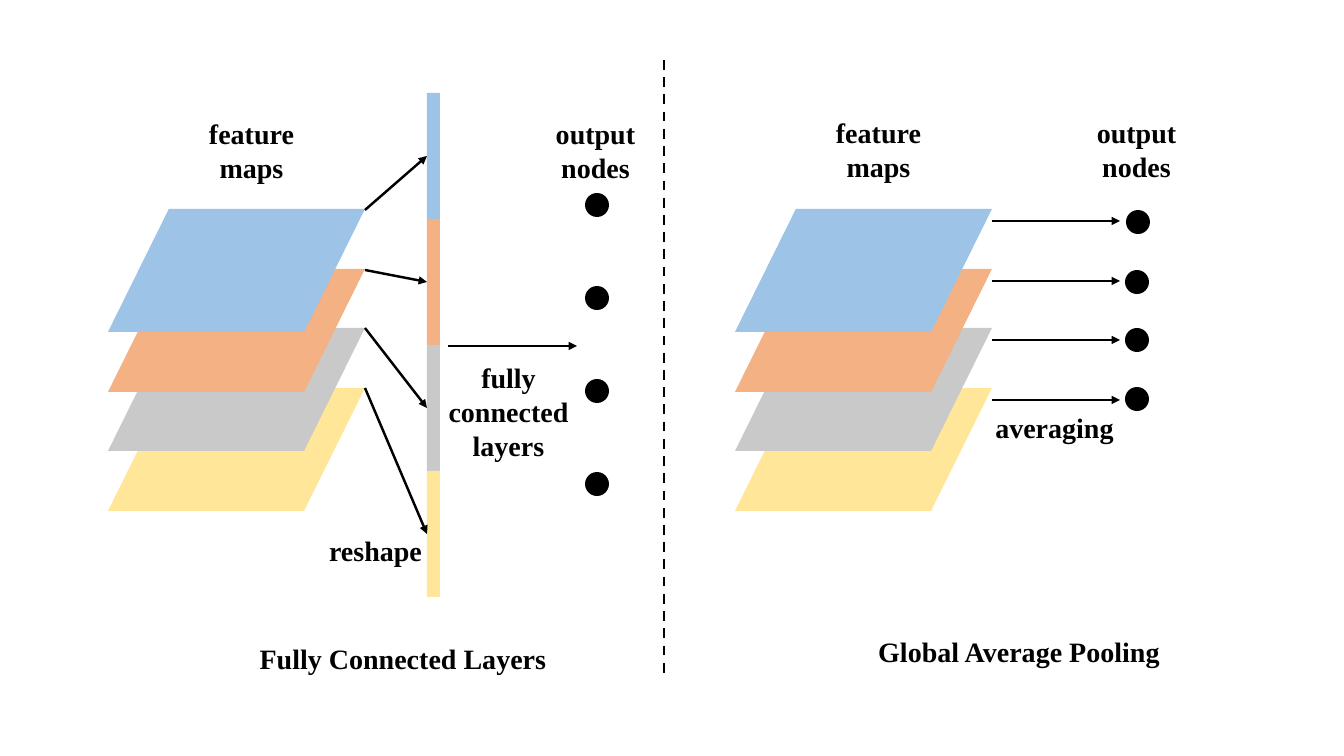
import pptx
import pptx.util
from lxml import etree
from pptx.dml.color import RGBColor
from pptx.enum.dml import MSO_LINE
from pptx.enum.shapes import MSO_CONNECTOR, MSO_SHAPE
from pptx.enum.text import MSO_AUTO_SIZE, PP_ALIGN
from pptx.oxml.ns import qn

# Content; all lengths in px, 100.8 px to the inch
SLIDE_SIZE = (1344, 756)
COLORS = {"blue": "9DC3E6", "orange": "F4B183", "gray": "C9C9C9",
          "yellow": "FFE699", "black": "000000"}
CHANNELS = ["blue", "orange", "gray", "yellow"]

MAP_LEFTS = {"fully connected": 108, "pooling": 735}
MAP_TOP, MAP_WIDTH, MAP_HEIGHT, MAP_SPAN = 209, 257, 123, 179
STRIP_LEFT, STRIP_TOP, STRIP_WIDTH, SEGMENT_HEIGHT = 427, 93, 13, 126
NODE_SIZE = 24
FC_NODE_LEFT, FC_NODE_TOP, FC_NODE_STEP = 585, 193, 93
POOLING_NODES = [(1126, 210), (1125, 270), (1125, 328), (1125, 387)]
RESHAPE_STARTS = [210, 270, 328, 388]
FC_ARROW = (448, 346, 577, 346)
AVERAGE_ARROW_END, AVERAGE_ARROW_OFFSET = 1120, 12
DIVIDER = (664, 60, 664, 677)
LABELS = [  # text, left, top, width, height
    ("Fully Connected Layers", 244, 637, 318, 44),
    ("Global Average Pooling", 860, 630, 318, 44),
    ("fully connected layers", 433, 356, 151, 112),
    ("feature maps", 176, 112, 151, 78),
    ("output nodes", 520, 112, 151, 78),
    ("reshape", 300, 529, 151, 44),
    ("feature maps", 803, 111, 151, 78),
    ("output nodes", 1061, 111, 151, 78),
    ("averaging", 979, 406, 151, 44),
]


def px(length):
    return pptx.util.Emu(round(length * 914400 / 100.8))


def color(name):
    return RGBColor.from_string(COLORS[name])


presentation = pptx.Presentation()
presentation.slide_width, presentation.slide_height = map(px, SLIDE_SIZE)
slide = presentation.slides.add_slide(presentation.slide_layouts[6])


def add_filled(kind, fill, *box):
    shape = slide.shapes.add_shape(kind, *map(px, box))
    shape.shadow.inherit = False
    shape.fill.solid()
    shape.fill.fore_color.rgb = color(fill)
    shape.line.fill.background()
    return shape


def add_line(*ends, arrow=True):
    line = slide.shapes.add_connector(MSO_CONNECTOR.STRAIGHT, *map(px, ends))
    line.line.width = pptx.util.Pt(1.75)
    line.line.color.rgb = color("black")
    if arrow:
        etree.SubElement(line.line._get_or_add_ln(), qn("a:tailEnd"), type="triangle")
    else:
        line.line.dash_style = MSO_LINE.DASH
    etree.SubElement(line._element.spPr, qn("a:effectLst"))
    return line


def add_label(text, *box):
    label = slide.shapes.add_textbox(*map(px, box))
    label.text_frame.word_wrap = True
    label.text_frame.auto_size = MSO_AUTO_SIZE.SHAPE_TO_FIT_TEXT
    paragraph = label.text_frame.paragraphs[0]
    paragraph.text = text
    paragraph.alignment = PP_ALIGN.CENTER
    paragraph.font.name = "Times New Roman"
    paragraph.font.size = pptx.util.Pt(20)
    paragraph.font.bold = True
    paragraph.font.color.rgb = color("black")


# Feature maps, stacked from the lowest one up
map_tops = [MAP_TOP + round(MAP_SPAN * i / 3) for i in range(len(CHANNELS))]
for map_left in MAP_LEFTS.values():
    for channel, top in reversed(list(zip(CHANNELS, map_tops))):
        feature_map = add_filled(MSO_SHAPE.PARALLELOGRAM, channel,
                                 map_left, top, MAP_WIDTH, MAP_HEIGHT)
        feature_map.adjustments[0] = 0.495

# Reshaped vector and the arrows into it
map_right = MAP_LEFTS["fully connected"] + MAP_WIDTH
for i, (channel, start) in enumerate(zip(CHANNELS, RESHAPE_STARTS)):
    top = STRIP_TOP + i * SEGMENT_HEIGHT
    segment = add_filled(MSO_SHAPE.RECTANGLE, channel,
                         STRIP_LEFT, top, STRIP_WIDTH, SEGMENT_HEIGHT)
    reshape_arrow = add_line(map_right, start, STRIP_LEFT, top + SEGMENT_HEIGHT / 2)
    reshape_arrow.end_connect(segment, 1)
add_line(*FC_ARROW)

# Output nodes of both halves
fc_nodes = [(FC_NODE_LEFT, FC_NODE_TOP + i * FC_NODE_STEP) for i in range(4)]
for left, top in fc_nodes + POOLING_NODES:
    add_filled(MSO_SHAPE.OVAL, "black", left, top, NODE_SIZE, NODE_SIZE)

# Averaging arrows
for top in map_tops:
    y = top + AVERAGE_ARROW_OFFSET
    add_line(MAP_LEFTS["pooling"] + MAP_WIDTH, y, AVERAGE_ARROW_END, y)

# Labels and divider
for label in LABELS:
    add_label(*label)
add_line(*DIVIDER, arrow=False)

presentation.save("out.pptx")
